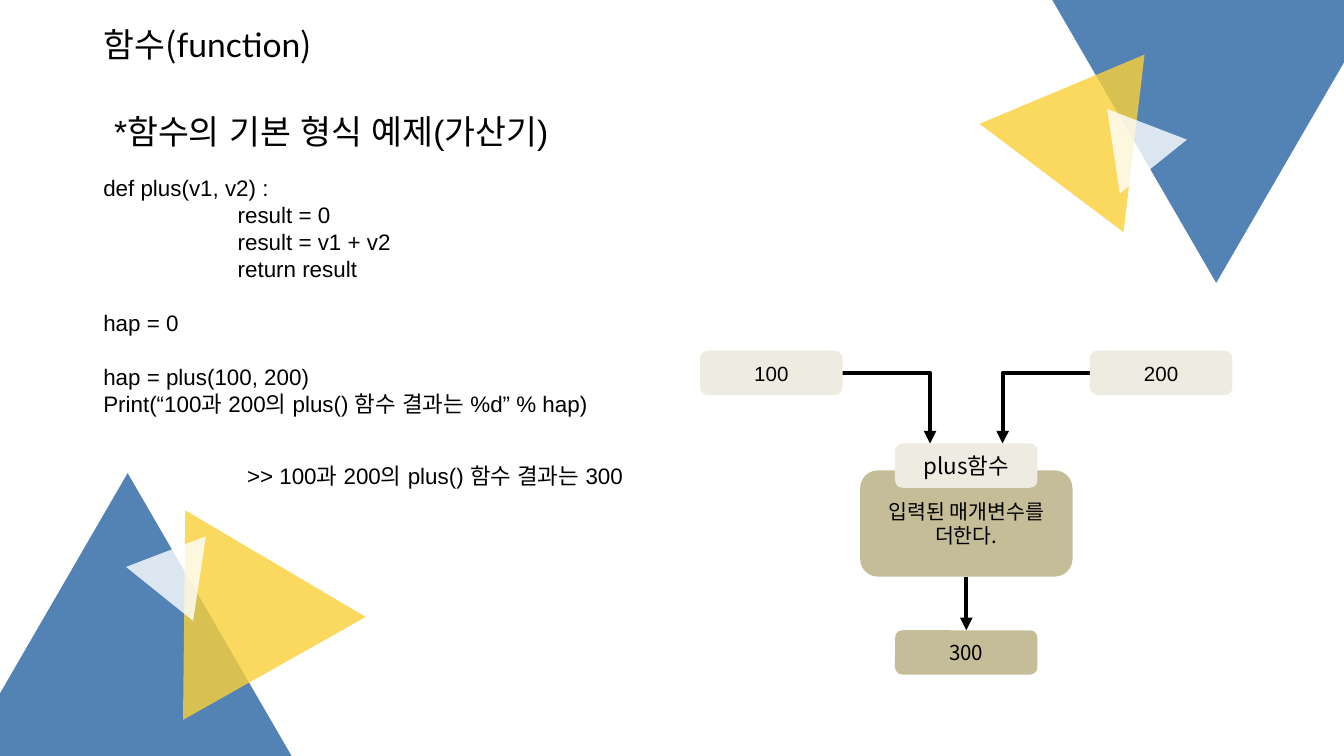
from lxml.etree import SubElement
from pptx import Presentation
from pptx.dml.color import RGBColor
from pptx.enum.shapes import MSO_CONNECTOR, MSO_SHAPE
from pptx.enum.text import MSO_ANCHOR, MSO_AUTO_SIZE, PP_ALIGN
from pptx.oxml.ns import qn
from pptx.util import Inches, Pt

WIDTH = 10
HEIGHT = WIDTH * 9 / 16
BLUE, YELLOW, WHITE, BLACK = "2963A3", "FAD038", "FFFFFF", "000000"
CREAM, TAN = "EEECE1", "C4BD97"
KOREAN, LATIN, ARIAL = "Noto Sans CJK KR", "Lato", "Arial"

TITLE = [("함수(", KOREAN), ("function", LATIN), (")", KOREAN)]
HEADING = "*함수의 기본 형식 예제(가산기)"
CODE = [
    ["def plus(v1, v2) :", "\tresult = 0", "\tresult = v1 + v2", "\treturn result"],
    ["hap = 0"],
    ["hap = plus(100, 200)", "Print(“100과 200의 plus() 함수 결과는 %d” % hap)"],
]
OUTPUT = ">> 100과 200의 plus() 함수 결과는 300"
LINE_PITCH = 14.4
TAB_STOP = 1

CORNER = [(0.95, 3.52), (2.17, HEIGHT), (0, HEIGHT), (0, 5.16)]
TRIANGLES = [
    (7.5, 0.29, 1.34, 1.15, 37, YELLOW),
    (0.93, 3.71, 1.56, 1.35, 330.6, YELLOW),
    (1.04, 3.93, 0.64, 0.55, 38.8, WHITE),
    (8.09, 0.75, 0.64, 0.55, 321.2, WHITE),
]

CENTER = 7.19
INPUT_OFFSET = 1.45
ARROW_OFFSET = 0.27
SMALL = (1.06, 0.33)
LARGE = (1.58, 0.79)
INPUT_TOP, NAME_TOP, BODY_TOP, RESULT_TOP = 2.61, 3.3, 3.5, 4.69
INPUT_MIDDLE = INPUT_TOP + SMALL[1] / 2
BOXES = [
    (["입력된 매개변수를", "더한다."], 0, BODY_TOP, LARGE, TAN, 11, KOREAN),
    (["plus함수"], 0, NAME_TOP, SMALL, CREAM, 12, KOREAN),
    (["300"], 0, RESULT_TOP, SMALL, TAN, 11, KOREAN),
    (["100"], -INPUT_OFFSET, INPUT_TOP, SMALL, CREAM, 11, ARIAL),
    (["200"], INPUT_OFFSET, INPUT_TOP, SMALL, CREAM, 11, ARIAL),
]


def color(value):
    return RGBColor.from_string(value)


def paint(shape, value, opacity=100):
    shape.shadow.inherit = False
    shape.fill.solid()
    shape.fill.fore_color.rgb = color(value)
    shape.line.fill.background()
    if opacity < 100:
        fill = shape.fill._xPr.find(qn("a:solidFill"))
        SubElement(fill[0], qn("a:alpha")).set("val", str(opacity * 1000))


def style(span, size, font):
    span.font.size = Pt(size)
    span.font.name = font
    span.font.color.rgb = color(BLACK)
    east_asian = SubElement(span.font._element, qn("a:ea"))
    east_asian.set("typeface", font)


def write(frame, lines, size, font, align=PP_ALIGN.LEFT):
    frame.word_wrap = True
    frame.text = "\n".join(lines)
    for para in frame.paragraphs:
        para.alignment = align
        for span in para.runs:
            style(span, size, font)


def add_text(page, lines, place, size):
    box = page.shapes.add_textbox(*map(Inches, place))
    write(box.text_frame, lines, size, ARIAL)
    return box.text_frame


def add_title(page):
    title = page.shapes.title
    title.left, title.top, title.width, title.height = map(Inches, (0.67, 0.13, 3, 0.4))
    frame = title.text_frame
    frame.auto_size = MSO_AUTO_SIZE.NONE
    frame.vertical_anchor = MSO_ANCHOR.MIDDLE
    para = frame.paragraphs[0]
    para.alignment = PP_ALIGN.LEFT
    for text, font in TITLE:
        span = para.add_run()
        span.text = text
        style(span, 18, font)


def add_decoration(page):
    turned = [(WIDTH - x, HEIGHT - y) for x, y in CORNER]
    for corner in (CORNER, turned):
        points = [(Inches(x), Inches(y)) for x, y in corner]
        builder = page.shapes.build_freeform(*points[0])
        builder.add_line_segments(points[1:], close=True)
        paint(builder.convert_to_shape(), BLUE, 80)
    for *place, angle, fill in TRIANGLES:
        triangle = page.shapes.add_shape(MSO_SHAPE.ISOSCELES_TRIANGLE, *map(Inches, place))
        triangle.rotation = angle
        paint(triangle, fill, 80)


def add_code(page):
    lines = [line for block in CODE for line in block]
    frame = add_text(page, lines, (0.67, 1.25, 8.79, 1.92), 12)
    starts = [block[0] for block in CODE[1:]]
    for para in frame.paragraphs:
        para.line_spacing = Pt(LINE_PITCH)
        if para.text in starts:
            para.space_before = Pt(LINE_PITCH)
        if para.text.startswith("\t"):
            tabs = SubElement(para._p.get_or_add_pPr(), qn("a:tabLst"))
            tab = SubElement(tabs, qn("a:tab"))
            tab.set("pos", str(Inches(TAB_STOP)))
            tab.set("algn", "l")


def add_arrow(page, kind, start, end):
    arrow = page.shapes.add_connector(kind, *map(Inches, (*start, *end)))
    arrow.line.width = Pt(2.25)
    arrow.line.color.rgb = color(BLACK)
    SubElement(arrow.line._get_or_add_ln(), qn("a:tailEnd")).set("type", "triangle")
    properties = arrow._element.spPr
    SubElement(properties, qn("a:effectLst"))
    if kind == MSO_CONNECTOR.ELBOW:
        properties.find(qn("a:prstGeom")).set("prst", "bentConnector2")


def add_diagram(page):
    for side in (-1, 1):
        start = (CENTER + side * 0.95, INPUT_MIDDLE)
        end = (CENTER + side * ARROW_OFFSET, NAME_TOP)
        add_arrow(page, MSO_CONNECTOR.ELBOW, start, end)
    body_bottom = BODY_TOP + LARGE[1]
    add_arrow(page, MSO_CONNECTOR.STRAIGHT, (CENTER, body_bottom), (CENTER, RESULT_TOP))
    for lines, offset, top, (width, height), fill, size, font in BOXES:
        place = (CENTER + offset - width / 2, top, width, height)
        box = page.shapes.add_shape(MSO_SHAPE.ROUNDED_RECTANGLE, *map(Inches, place))
        paint(box, fill)
        box.text_frame.vertical_anchor = MSO_ANCHOR.MIDDLE
        write(box.text_frame, lines, size, font, PP_ALIGN.CENTER)


def main():
    deck = Presentation()
    deck.slide_width, deck.slide_height = Inches(WIDTH), Inches(HEIGHT)
    page = deck.slides.add_slide(deck.slide_layouts[5])
    add_decoration(page)
    add_title(page)
    add_text(page, [HEADING], (0.75, 0.78, 4.15, 0.4), 18)
    add_code(page)
    add_diagram(page)
    add_text(page, [OUTPUT], (1.74, 3.39, 3.47, 0.3), 12)
    deck.save("out.pptx")


if __name__ == "__main__":
    main()
